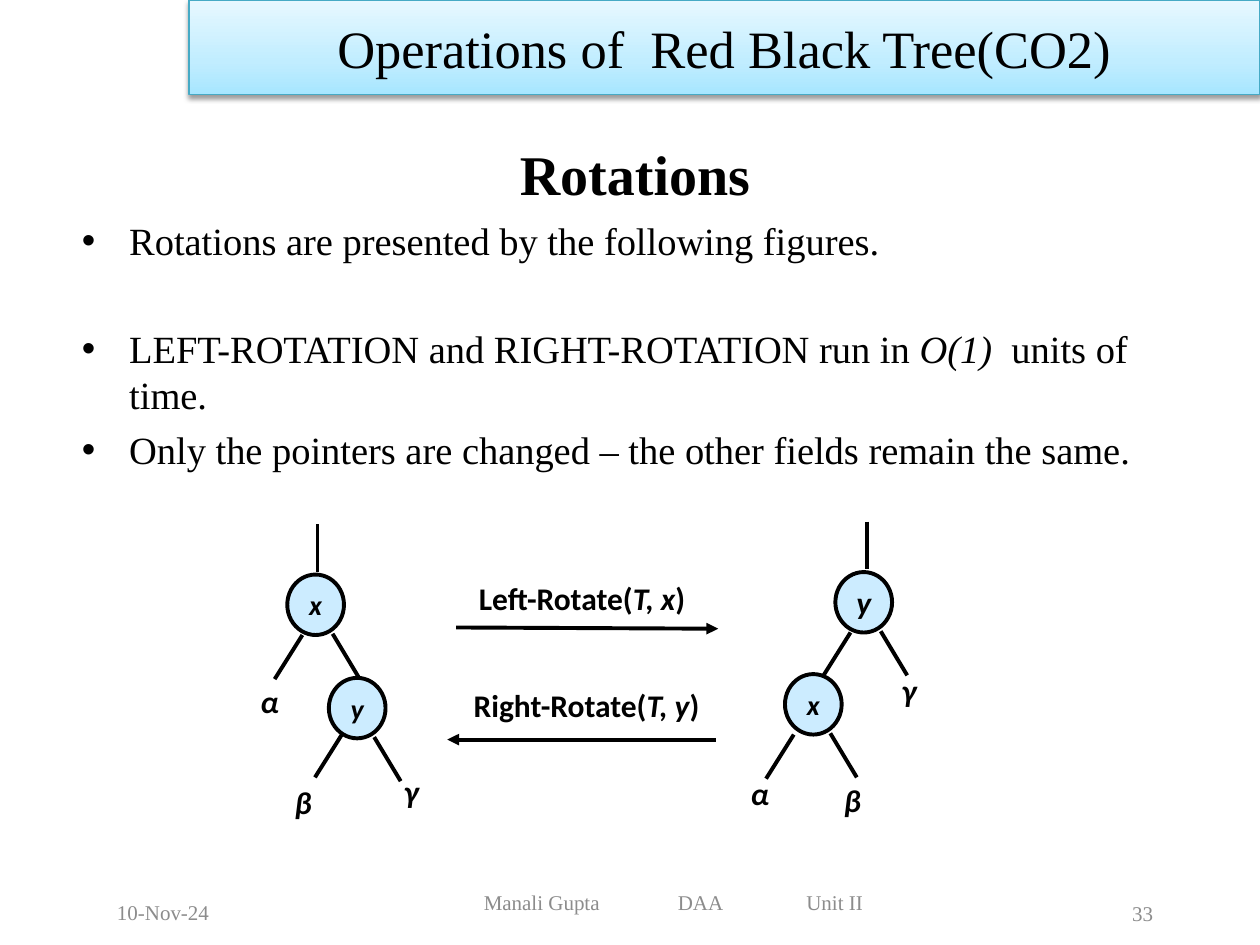
from dataclasses import dataclass

from lxml import etree
from pptx import Presentation
from pptx.dml.color import RGBColor
from pptx.enum.shapes import MSO_CONNECTOR, MSO_SHAPE
from pptx.enum.text import MSO_ANCHOR, MSO_AUTO_SIZE, PP_ALIGN
from pptx.oxml import parse_xml
from pptx.oxml.ns import nsdecls, qn
from pptx.util import Inches, Pt

LEFT, CENTER, RIGHT = PP_ALIGN.LEFT, PP_ALIGN.CENTER, PP_ALIGN.RIGHT
MIDDLE, TOP = MSO_ANCHOR.MIDDLE, MSO_ANCHOR.TOP
NO_FIT = MSO_AUTO_SIZE.NONE
STRAIGHT = MSO_CONNECTOR.STRAIGHT
ELLIPSE, RECTANGLE = MSO_SHAPE.OVAL, MSO_SHAPE.RECTANGLE

SERIF, SANS = "Times New Roman", "Calibri"
COLORS = {
    "ink": "000000",
    "node": "CCECFF",
    "footer": "8C8C8C",
    "banner_line": "46AAC5",
    "banner_bottom": "A7E6FF",
    "banner_mid": "C1EDFF",
    "banner_top": "E7F8FF",
}
NODE_SIZE = (0.45, 0.48)


@dataclass(frozen=True)
class Node:
    key: str
    x: float
    y: float
    size: int = 16
    left_edge: tuple[float, float] = (0.12, 0.48)
    right_edge: tuple[float, float] = (0.36, 0.47)


@dataclass(frozen=True)
class Label:
    text: str
    box: tuple[float, float, float, float]


@dataclass(frozen=True)
class Line:
    start: tuple[float, float]
    end: tuple[float, float]
    arrow: bool = False


NODES = [
    Node("y", 6.63, 4.54, size=18),
    Node("x", 6.23, 5.35, left_edge=(0.07, 0.48)),
    Node("x", 2.28, 4.56),
    Node("y", 2.61, 5.38, left_edge=(0.11, 0.44)),
]
LINES = [
    Line((6.88, 4.14), (6.88, 4.52)),
    Line((2.52, 4.16), (2.52, 4.54)),
    Line((3.62, 4.98), (5.7, 4.99), arrow=True),
    Line((5.68, 5.87), (3.55, 5.87), arrow=True),
]
# Text between asterisks is italic
LABELS = [
    Label("*α*", (5.77, 5.94, 0.52, 0.71)),
    Label("*β*", (6.47, 5.99, 0.59, 0.71)),
    Label("*γ*", (6.95, 5.12, 0.53, 0.71)),
    Label("*α*", (1.88, 5.21, 0.52, 0.71)),
    Label("*β*", (2.11, 6.01, 0.59, 0.71)),
    Label("*γ*", (3.0, 5.92, 0.53, 0.71)),
    Label("Left-Rotate(*T, x*)", (3.35, 4.46, 2.54, 0.57)),
    Label("Right-Rotate(*T, y*)", (3.3, 5.31, 2.71, 0.57)),
]
# Bullet text and the space before it in points
BULLETS = [
    ("Rotations are presented by the following figures.", 0),
    ("LEFT-ROTATION and RIGHT-ROTATION run in *O(1) * units of time.", 35.5),
    ("Only the pointers are changed – the other fields remain the same.", 5),
]


def rgb(name: str) -> RGBColor:
    return RGBColor.from_string(COLORS[name])


def write(paragraph, text: str, *, size: int, font: str = SERIF, color: str = "ink",
          bold: bool = False, align: PP_ALIGN = LEFT, before: float = 0) -> None:
    paragraph.alignment = align
    paragraph.space_before = Pt(before)
    for index, part in enumerate(text.split("*")):
        if part:
            run = paragraph.add_run()
            run.text = part
            run.font.size, run.font.name = Pt(size), font
            run.font.bold, run.font.italic = bold, index % 2 == 1
            run.font.color.rgb = rgb(color)


def set_frame(shape, anchor: MSO_ANCHOR = MIDDLE, wrap: bool = True):
    frame = shape.text_frame
    frame.auto_size, frame.word_wrap = NO_FIT, wrap
    frame.vertical_anchor = anchor
    return frame


def place(shape, *box: float) -> None:
    shape.left, shape.top, shape.width, shape.height = map(Inches, box)


def add_text_box(slide, box: tuple, text: str, wrap: bool = True, **text_format):
    frame = set_frame(slide.shapes.add_textbox(*map(Inches, box)), wrap=wrap)
    write(frame.paragraphs[0], text, **text_format)
    return frame


def add_line(slide, line: Line) -> None:
    connector = slide.shapes.add_connector(STRAIGHT, *map(Inches, line.start + line.end))
    connector.line.color.rgb, connector.line.width = rgb("ink"), Pt(2.25)
    if line.arrow:
        etree.SubElement(connector.line._get_or_add_ln(), qn("a:tailEnd"), type="triangle")
    etree.SubElement(connector._element.spPr, qn("a:effectLst"))


def add_node(slide, node: Node) -> None:
    circle = slide.shapes.add_shape(ELLIPSE, *map(Inches, (node.x, node.y, *NODE_SIZE)))
    circle.shadow.inherit = False
    circle.fill.solid()
    circle.fill.fore_color.rgb = rgb("node")
    circle.line.color.rgb, circle.line.width = rgb("ink"), Pt(2.25)
    write(set_frame(circle, wrap=False).paragraphs[0], f"*{node.key}*",
          size=node.size, font=SANS, bold=True, align=CENTER)


def add_edges(slide, node: Node) -> None:
    for (dx, dy), run in ((node.left_edge, -0.22), (node.right_edge, 0.21)):
        x, y = node.x + dx, node.y + dy
        add_line(slide, Line((x, y), (x + run, y + 0.35)))


def add_banner(slide, text: str) -> None:
    banner = slide.shapes.add_shape(RECTANGLE, *map(Inches, (1.5, 0, 8.5, 0.75)))
    stops = ((0, "banner_bottom"), (35, "banner_mid"), (100, "banner_top"))
    stop_xml = "".join(f'<a:gs pos="{pos * 1000}"><a:srgbClr val="{COLORS[name]}"/></a:gs>'
                       for pos, name in stops)
    properties = banner._element.spPr
    properties.insert(2, parse_xml(
        f'<a:gradFill {nsdecls("a")} rotWithShape="1"><a:gsLst>{stop_xml}</a:gsLst>'
        '<a:lin ang="16200000" scaled="1"/></a:gradFill>'))
    banner.line.color.rgb, banner.line.width = rgb("banner_line"), Pt(0.75)
    properties.append(parse_xml(
        f'<a:effectLst {nsdecls("a")}><a:outerShdw blurRad="{Pt(3.1)}" dist="{Pt(1.6)}" '
        f'dir="5400000" rotWithShape="0"><a:srgbClr val="{COLORS["ink"]}">'
        '<a:alpha val="38000"/></a:srgbClr></a:outerShdw></a:effectLst>'))
    write(set_frame(banner).paragraphs[0], text, size=30, align=CENTER)


def add_footer(slide) -> None:
    style = {"size": 12, "color": "footer"}
    add_text_box(slide, (0.83, 6.99, 2.25, 0.5), "10-Nov-24", **style)
    add_text_box(slide, (7.5, 7, 1.75, 0.5), "33", align=RIGHT, **style)
    course = slide.shapes.add_textbox(*map(Inches, (3.28, 6.91, 4.12, 0.5)))
    frame = set_frame(course)
    frame.margin_left = Inches(0.56)
    paragraph = frame.paragraphs[0]
    tabs = etree.SubElement(paragraph._p.get_or_add_pPr(), qn("a:tabLst"))
    for position in (1.54, 2.56):
        etree.SubElement(tabs, qn("a:tab"), pos=str(Inches(position)), algn="l")
    write(paragraph, "Manali Gupta\tDAA\tUnit II", **style)


def main() -> None:
    deck = Presentation()
    deck.slide_width, deck.slide_height = Inches(10), Inches(7.5)
    slide = deck.slides.add_slide(deck.slide_layouts[1])

    # Title and bullets
    title, body = slide.placeholders
    place(title, 0.83, 1.17, 8.42, 0.41)
    write(set_frame(title).paragraphs[0], "Rotations", size=32, bold=True, align=CENTER)
    place(body, 0.55, 1.67, 8.7, 2.35)
    frame = set_frame(body, anchor=TOP)
    for index, (text, before) in enumerate(BULLETS):
        paragraph = frame.add_paragraph() if index else frame.paragraphs[0]
        write(paragraph, text, size=22, before=before)

    # Trees before and after rotation
    for node in NODES:
        add_node(slide, node)
    for node in NODES:
        add_edges(slide, node)
    for line in LINES:
        add_line(slide, line)
    for label in LABELS:
        add_text_box(slide, label.box, label.text, wrap=False,
                     size=18, font=SANS, bold=True, align=CENTER)

    # Footer and banner
    add_footer(slide)
    add_banner(slide, "Operations of  Red Black Tree(CO2)")
    deck.save("out.pptx")


if __name__ == "__main__":
    main()
